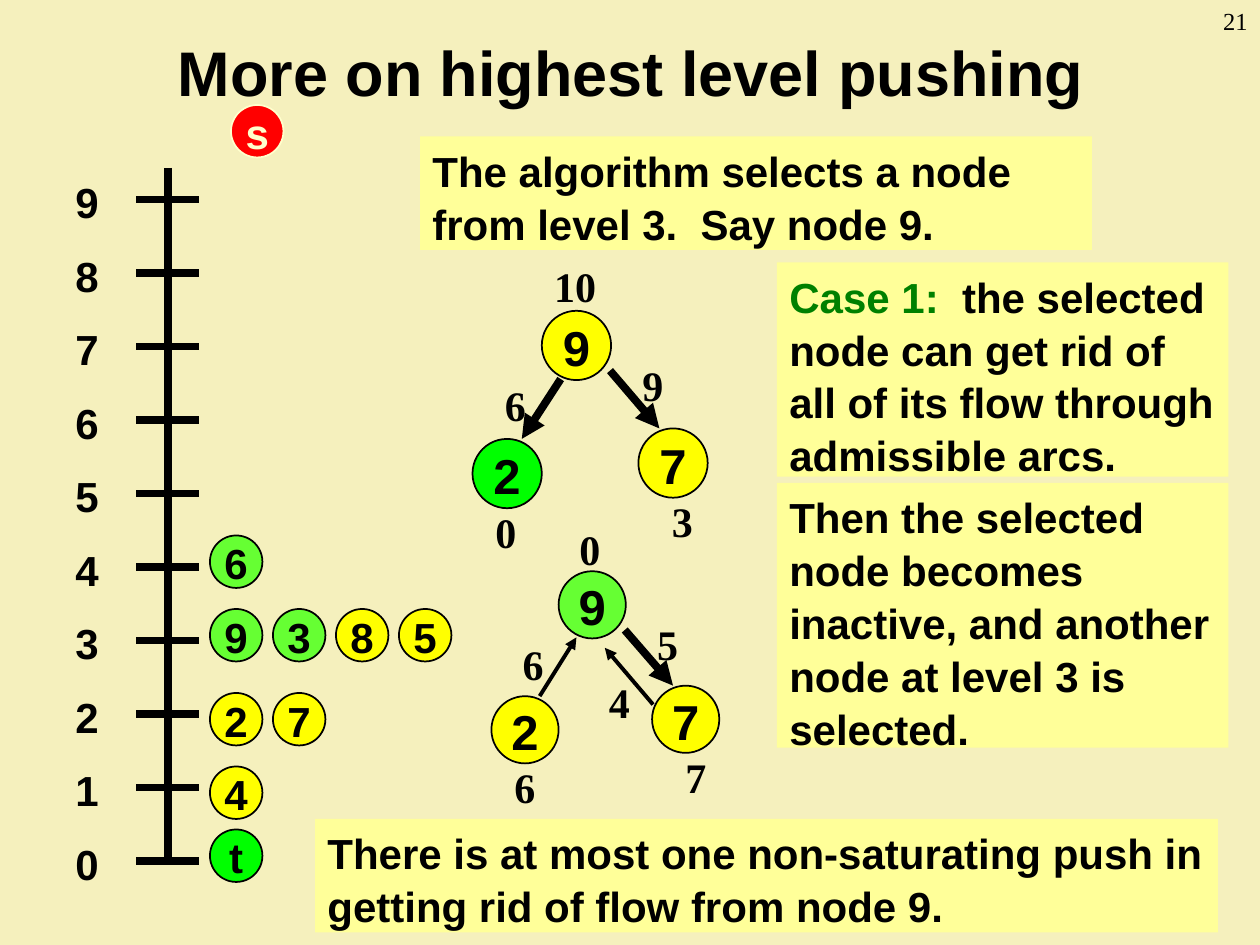
import pptx
import pptx.dml.color
import pptx.enum.shapes
import pptx.enum.text
import pptx.oxml
import pptx.oxml.ns
import pptx.util
from dataclasses import dataclass

PX = 7620  # EMU in one px: 120 px to the inch
ALIGN = pptx.enum.text.PP_ALIGN
ANCHOR = pptx.enum.text.MSO_ANCHOR
SHAPE = pptx.enum.shapes.MSO_SHAPE


@dataclass(frozen=True)
class Theme:
    background: str = "F5F0BD"
    ink: str = "000000"
    note: str = "FFFF99"
    case: str = "008000"
    active: str = "FFFF00"
    inactive: str = "66FF33"
    sink: str = "00FF00"
    source: str = "FF0000"
    pale: str = "FFFFCC"
    sans: str = "Arial"
    serif: str = "Times New Roman"
    title_size: int = 36
    node_size: int = 28
    body_size: int = 24
    number_size: int = 14
    thick: float = 4.5
    thin: float = 2.25
    outline: float = 1
    line_spacing: float = 1.05


THEME = Theme()


def rgb(value):
    return pptx.dml.color.RGBColor.from_string(value)


def px(*lengths):
    return [round(length) * PX for length in lengths]


def write(part, runs, size=THEME.body_size, font=THEME.sans, bold=True,
          align=ALIGN.LEFT, anchor=ANCHOR.TOP, wrap=True, spacing=THEME.line_spacing):
    """Fill a part with one paragraph made of (text, colour) runs."""
    frame = part.text_frame
    frame.word_wrap, frame.vertical_anchor = wrap, anchor
    paragraph = frame.paragraphs[0]
    paragraph.alignment, paragraph.line_spacing = align, spacing
    style = {"name": font, "size": pptx.util.Pt(size), "bold": bold}
    for text, color in runs:
        run = paragraph.add_run()
        run.text = text
        for key, value in style.items():
            setattr(run.font, key, value)
        run.font.color.rgb = rgb(color)


def label(slide, box, text, **style):
    write(slide.shapes.add_textbox(*px(*box)), [(text, THEME.ink)], **style)


def note(slide, box, *runs):
    panel = slide.shapes.add_shape(SHAPE.RECTANGLE, *px(*box))
    panel.shadow.inherit = False
    panel.fill.solid()
    panel.fill.fore_color.rgb = rgb(THEME.note)
    panel.line.fill.background()
    write(panel, runs)


def node(slide, box, text, fill, color=THEME.ink, size=THEME.body_size):
    circle = slide.shapes.add_shape(SHAPE.OVAL, *px(*box))
    circle.shadow.inherit = False
    circle.fill.solid()
    circle.fill.fore_color.rgb = rgb(fill)
    circle.line.color.rgb = rgb(color)
    circle.line.width = pptx.util.Pt(THEME.outline)
    write(circle, [(text, color)], size=size, align=ALIGN.CENTER,
          anchor=ANCHOR.MIDDLE, wrap=False)


def line(slide, start, end, width=THEME.thick, arrow=False):
    stroke = slide.shapes.add_connector(
        pptx.enum.shapes.MSO_CONNECTOR.STRAIGHT, *px(*start, *end))
    stroke.line.color.rgb = rgb(THEME.ink)
    stroke.line.width = pptx.util.Pt(width)
    if arrow:
        head = pptx.oxml.parse_xml(
            f'<a:tailEnd {pptx.oxml.ns.nsdecls("a")} type="triangle"/>')
        stroke.line._get_or_add_ln().append(head)
    stroke._element.spPr.append(
        pptx.oxml.parse_xml(f'<a:effectLst {pptx.oxml.ns.nsdecls("a")}/>'))


def level_scale(slide, left, top, step=70, levels=10):
    """Draw the distance axis with the nodes that sit on each level."""
    axis, base = left + 100, top + 660
    line(slide, (axis, top), (axis, base))
    for level in range(levels):
        y = base - level * step
        line(slide, (axis - 30, y), (axis + 30, y))
        label(slide, (left, y - 30, 50, 60), str(level))

    active, inactive = THEME.active, THEME.inactive
    rows = [
        (630, [("t", THEME.sink)]),
        (570, [("4", active)]),
        (500, [("2", active), ("7", active)]),
        (420, [("9", inactive), ("3", inactive), ("8", active), ("5", active)]),
        (350, [("6", inactive)]),
    ]
    for offset, members in rows:
        for column, (text, fill) in enumerate(members):
            node(slide, (axis + 40 + 60 * column, top + offset, 50, 50), text, fill)
    node(slide, (axis + 60, top - 60, 50, 50), "s", THEME.source, THEME.pale)


def push_tree(slide, left, top, scale, fills, labels, arrows):
    """Draw node 9 above nodes 2 and 7, with excesses, capacities and arcs."""
    def place(x, y):
        return left + x * scale, top + y * scale

    for start, end, width in arrows:
        line(slide, place(*start), place(*end), width, arrow=True)
    spots = [("9", 66, 56), ("2", 0, 178), ("7", 158, 168)]
    for (text, x, y), fill in zip(spots, fills):
        node(slide, (*place(x, y), 66 * scale, 66 * scale), text, fill,
             size=THEME.node_size)
    for text, x, y in labels:
        label(slide, (*place(x, y), 94 * scale, 60), text, font=THEME.serif)


def build():
    deck = pptx.Presentation()
    deck.slide_width, deck.slide_height = px(1200, 900)
    slide = deck.slides.add_slide(deck.slide_layouts[6])
    slide.background.fill.solid()
    slide.background.fill.fore_color.rgb = rgb(THEME.background)

    label(slide, (61, 16, 1080, 104), "More on highest level pushing",
          size=THEME.title_size, align=ALIGN.CENTER, anchor=ANCHOR.MIDDLE, spacing=1.0)
    level_scale(slide, 60, 160)

    note(slide, (400, 130, 640, 108),
         ("The algorithm selects a node from level 3.  Say node 9.", THEME.ink))
    note(slide, (740, 250, 430, 204), ("Case 1:", THEME.case),
         ("  the selected node can get rid of all of its flow through admissible arcs.",
          THEME.ink))
    note(slide, (740, 460, 430, 252),
         ("Then the selected node becomes inactive, and another node at level 3 is selected.",
          THEME.ink))
    note(slide, (300, 780, 860, 108),
         ("There is at most one non-saturating push in getting rid of flow from node 9.",
          THEME.ink))

    left_arc = ((84, 121), (47, 178))
    right_arc = ((131, 113), (178, 168))
    push_tree(slide, 450, 240, 1, (THEME.active, THEME.sink, THEME.active),
              [("10", 66, 0), ("6", 19, 113), ("9", 150, 94), ("0", 10, 234),
               ("3", 178, 224)],
              [(*left_arc, THEME.thick), (*right_arc, THEME.thick)])
    push_tree(slide, 468, 490, 0.97, (THEME.inactive, THEME.active, THEME.active),
              [("0", 74, 0), ("6", 19, 113), ("5", 150, 94), ("6", 10, 234),
               ("7", 178, 224), ("4", 103, 150)],
              [(*left_arc[::-1], THEME.thin), (*right_arc, THEME.thick),
               ((159, 187), (111, 131), THEME.thin)])

    label(slide, (1100, 0, 100, 60), "21", size=THEME.number_size,
          font=THEME.serif, bold=False, align=ALIGN.RIGHT, spacing=1.0)
    deck.save("out.pptx")


if __name__ == "__main__":
    build()
